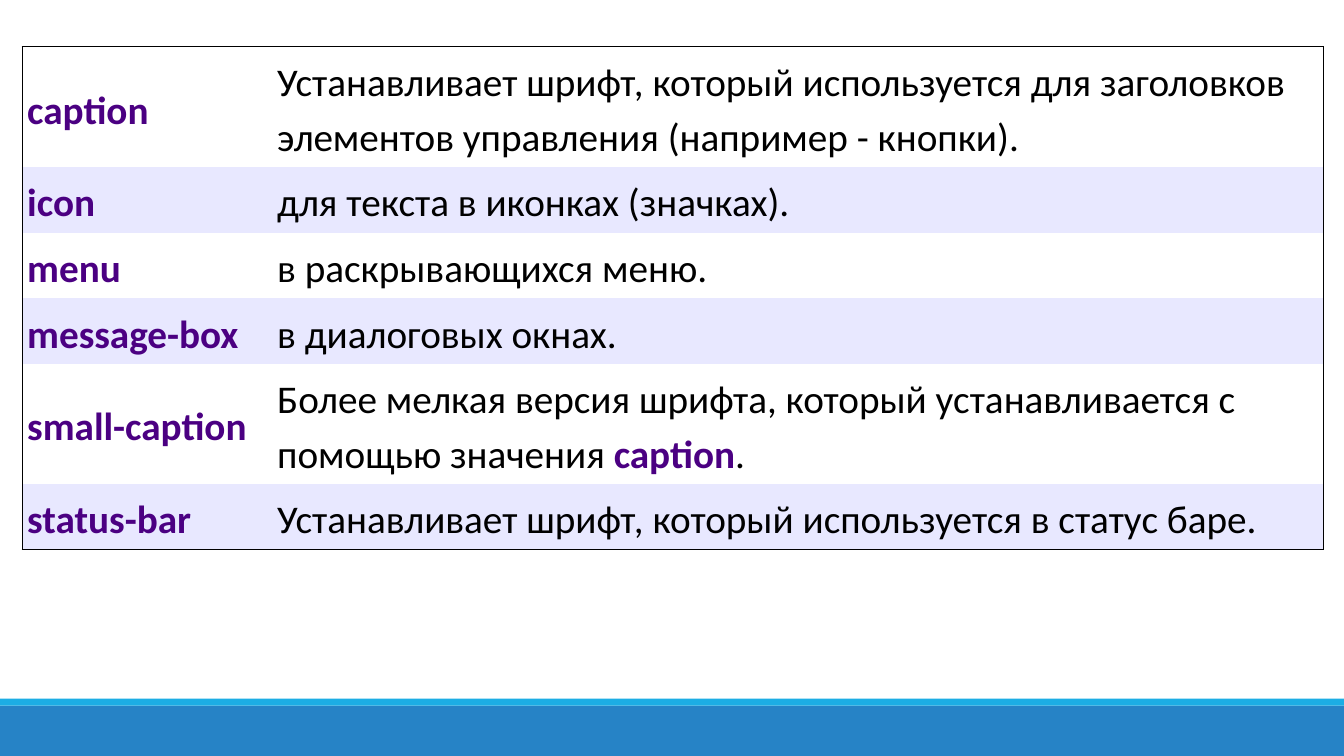
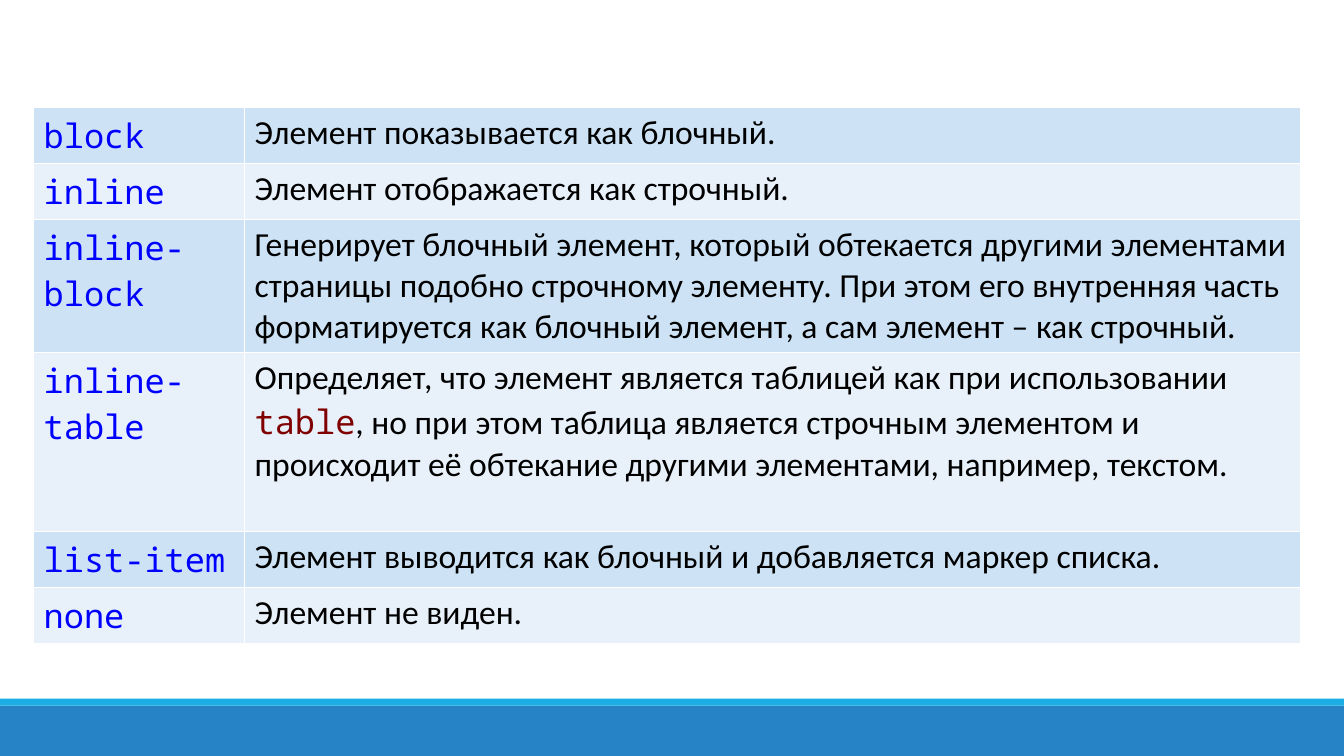
from dataclasses import dataclass

from lxml.etree import SubElement
from pptx import Presentation
from pptx.dml.color import RGBColor
from pptx.enum.shapes import MSO_SHAPE
from pptx.enum.text import MSO_ANCHOR
from pptx.oxml.ns import qn
from pptx.util import Inches, Pt

BLACK = RGBColor(0x00, 0x00, 0x00)
WHITE = RGBColor(0xFF, 0xFF, 0xFF)
BLUE = RGBColor(0x26, 0x83, 0xC6)
CYAN = RGBColor(0x1C, 0xAD, 0xE4)
INDIGO = RGBColor(0x4B, 0x00, 0x82)
LAVENDER = RGBColor(0xE8, 0xE8, 0xFF)
CODE_BLUE = RGBColor(0x00, 0x00, 0xFF)
MAROON = RGBColor(0x80, 0x00, 0x00)
SKY = RGBColor(0xCD, 0xE3, 0xF5)
PALE_SKY = RGBColor(0xE8, 0xF1, 0xFA)
BODY_FONT = "Calibri"
CODE_FONT = "Noto Sans Mono"


@dataclass
class TableLook:
    size: int
    key_font: str
    key_color: RGBColor
    term_color: RGBColor
    bold: bool
    fills: tuple  # alternating row fills, None for an empty one
    border: RGBColor
    inner_borders: bool
    spacing: float = 1.0
    side_inset: float = 0.1
    anchor: MSO_ANCHOR = MSO_ANCHOR.TOP


class Deck:
    """Holds the shared style and the current slide; lengths are percent of the slide."""

    def __init__(self):
        self.prs = Presentation()
        self.prs.slide_width, self.prs.slide_height = Inches(13.33), Inches(7.5)
        self.slide = None

    def x(self, percent):
        return round(self.prs.slide_width * percent / 100)

    def y(self, percent):
        return round(self.prs.slide_height * percent / 100)

    def new_slide(self):
        self.slide = self.prs.slides.add_slide(self.prs.slide_layouts[6])
        self.band(93.33, 6.67, BLUE)
        self.band(92.4, 0.93, CYAN)

    def band(self, top, height, color):
        band = self.slide.shapes.add_shape(
            MSO_SHAPE.RECTANGLE, 0, self.y(top), self.x(100), self.y(height))
        band.shadow.inherit = False
        band.fill.solid()
        band.fill.fore_color.rgb = color
        band.line.fill.background()

    def table(self, left, top, widths, entries, look):
        """Entries are (keyword, description, row height)."""
        heights = [height for *_, height in entries]
        table = self.slide.shapes.add_table(
            len(entries), len(widths), self.x(left), self.y(top),
            self.x(sum(widths)), self.y(sum(heights))).table
        table.first_row = table.horz_banding = False
        for column, width in zip(table.columns, widths):
            column.width = self.x(width)
        last_row, last_col = len(entries) - 1, len(widths) - 1
        for r, (keyword, description, height) in enumerate(entries):
            table.rows[r].height = self.y(height)
            for c, text in enumerate((f"`{keyword}`", description)):
                cell = table.cell(r, c)
                outer = {"L": c == 0, "R": c == last_col, "T": r == 0, "B": r == last_row}
                self.borders(cell, outer, look)
                self.cell_fill(cell, look.fills[r % len(look.fills)])
                cell.vertical_anchor = look.anchor
                cell.margin_left = cell.margin_right = Inches(look.side_inset)
                cell.margin_top = cell.margin_bottom = Inches(0.05)
                color = look.key_color if c == 0 else look.term_color
                self.cell_text(cell.text_frame.paragraphs[0], text, color, look)

    def borders(self, cell, outer, look):
        properties = cell._tc.get_or_add_tcPr()
        for side, is_outer in outer.items():
            line = SubElement(properties, qn(f"a:ln{side}"), w=str(Pt(1)))
            if is_outer or look.inner_borders:
                solid = SubElement(line, qn("a:solidFill"))
                SubElement(solid, qn("a:srgbClr"), val=str(look.border))
            else:
                SubElement(line, qn("a:noFill"))

    def cell_fill(self, cell, color):
        if color is None:
            cell.fill.background()
        else:
            cell.fill.solid()
            cell.fill.fore_color.rgb = color

    def cell_text(self, paragraph, text, term_color, look):
        """Parts between backticks are keywords."""
        paragraph.line_spacing = look.spacing
        parts = [(part, i % 2 == 1) for i, part in enumerate(text.split("`")) if part]
        paragraph_is_term = parts[0][1]
        self.font(paragraph.font, paragraph_is_term, term_color, look)
        for part, is_term in parts:
            run = paragraph.add_run()
            run.text = part
            if is_term != paragraph_is_term:
                self.font(run.font, is_term, term_color, look)

    def font(self, font, is_term, term_color, look):
        font.size = Pt(look.size)
        font.name = look.key_font if is_term else BODY_FONT
        font.bold = is_term and look.bold
        font.color.rgb = term_color if is_term else BLACK


SYSTEM_FONT_LOOK = TableLook(
    size=28, key_font=BODY_FONT, key_color=INDIGO, term_color=INDIGO, bold=True,
    fills=(None, LAVENDER), border=BLACK, inner_borders=False,
    spacing=1.15, side_inset=0.05, anchor=MSO_ANCHOR.MIDDLE)
DISPLAY_LOOK = TableLook(
    size=24, key_font=CODE_FONT, key_color=CODE_BLUE, term_color=MAROON, bold=False,
    fills=(SKY, PALE_SKY), border=WHITE, inner_borders=True)

SYSTEM_FONTS = [
    ("caption", "Устанавливает шрифт, который используется для заголовков "
                "элементов управления (например - кнопки).", 15.93),
    ("icon", "для текста в иконках (значках).", 8.67),
    ("menu", "в раскрывающихся меню.", 8.67),
    ("message-box", "в диалоговых окнах.", 8.67),
    ("small-caption", "Более мелкая версия шрифта, который устанавливается с "
                      "помощью значения `caption`.", 15.93),
    ("status-bar", "Устанавливает шрифт, который используется в статус баре.", 8.67),
]
DISPLAY_VALUES = [
    ("block", "Элемент показывается как блочный.", 7.4),
    ("inline", "Элемент отображается как строчный.", 7.4),
    ("inline-block", "Генерирует блочный элемент, который обтекается другими элементами "
                     "страницы подобно строчному элементу. При этом его внутренняя часть "
                     "форматируется как блочный элемент, а сам элемент – как строчный.", 17.6),
    ("inline-table", "Определяет, что элемент является таблицей как при "
                     "использовании `table`, но при этом таблица является строчным "
                     "элементом и происходит её обтекание другими элементами, "
                     "например, текстом.", 23.7),
    ("list-item", "Элемент выводится как блочный и добавляется маркер списка.", 7.4),
    ("none", "Элемент не виден.", 7.4),
]


def main():
    deck = Deck()

    # System font keywords
    deck.new_slide()
    deck.table(1.65, 6.2, (18.6, 78.25), SYSTEM_FONTS, SYSTEM_FONT_LOOK)

    # Values of the display property
    deck.new_slide()
    deck.table(2.5, 14.2, (15.7, 78.55), DISPLAY_VALUES, DISPLAY_LOOK)

    deck.prs.save("out.pptx")


if __name__ == "__main__":
    main()
